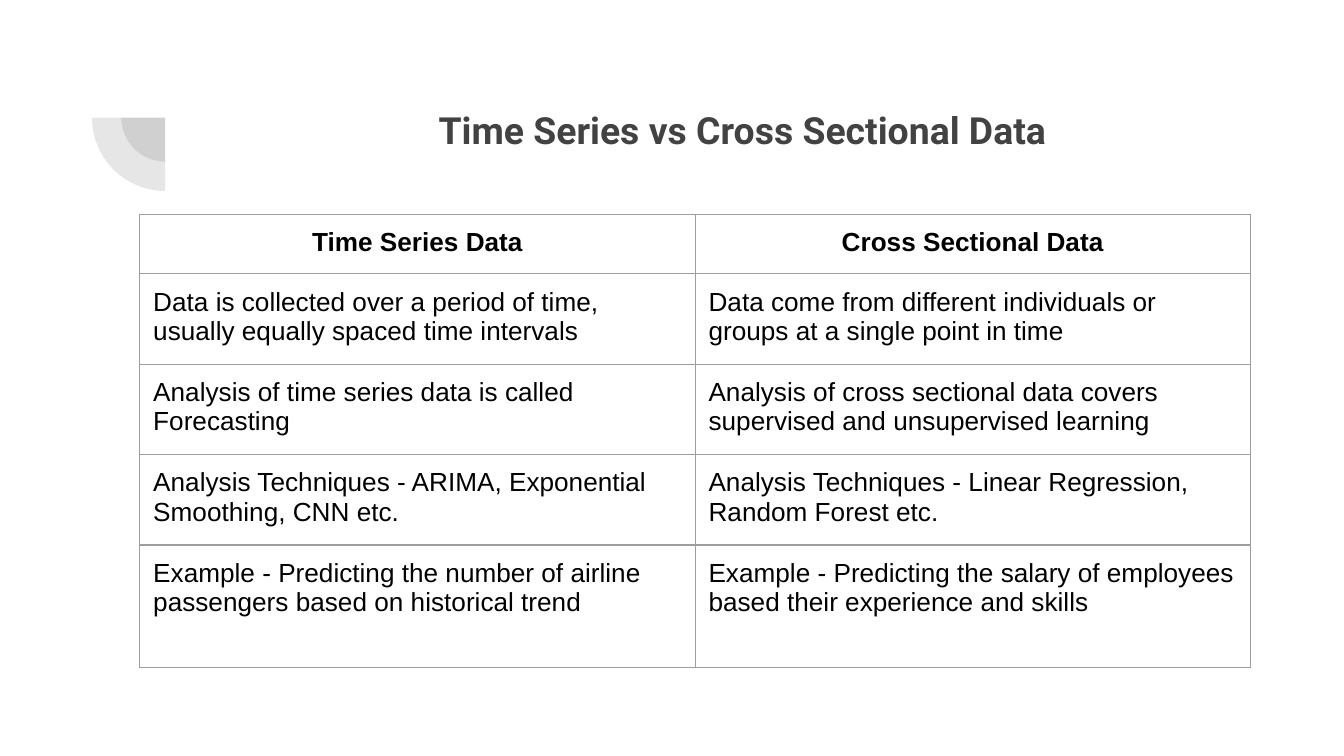
from lxml.etree import SubElement
from pptx import Presentation
from pptx.dml.color import RGBColor
from pptx.enum.shapes import MSO_SHAPE
from pptx.enum.text import PP_ALIGN
from pptx.oxml.ns import qn
from pptx.util import Pt

COLORS = {"ink": "424242", "text": "000000", "border": "9E9E9E"}
TITLE_FONT = {"name": "Roboto", "size": Pt(20), "bold": True}
HEADER_FONT = {"name": "Arial", "size": Pt(14), "bold": True}
BODY_FONT = HEADER_FONT | {"bold": False}
INSETS = {f"margin_{side}": Pt(7.2) for side in ("left", "top", "right", "bottom")}
ROW_HEIGHTS = (31.7, 48.45, 48.45, 48.45, 65.5)
ROWS = (
    ("Time Series Data", "Cross Sectional Data"),
    ("Data is collected over a period of time, usually equally spaced time intervals",
     "Data come from different individuals or groups at a single point in time"),
    ("Analysis of time series data is called Forecasting",
     "Analysis of cross sectional data covers supervised and unsupervised learning"),
    ("Analysis Techniques - ARIMA, Exponential Smoothing, CNN etc.",
     "Analysis Techniques - Linear Regression, Random Forest etc."),
    ("Example - Predicting the number of airline passengers based on historical trend",
     "Example - Predicting the salary of employees based their experience and skills"),
)


def set_all(target, values):
    """Set each named attribute of the target."""
    for name, value in values.items():
        setattr(target, name, value)


def write(para, text, font, color):
    """Add one formatted span of text to a paragraph."""
    span = para.add_run()
    span.text = text
    set_all(span.font, font)
    span.font.color.rgb = RGBColor.from_string(COLORS[color])


def add_quarter_rings(page, left, top, size):
    """Draw two concentric translucent quarter circles in a square box."""
    for diameter in (size * 0.6, size):
        offset = (size - diameter) / 2
        pie = page.shapes.add_shape(MSO_SHAPE.PIE, Pt(left + offset), Pt(top + offset),
                                    Pt(diameter), Pt(diameter))
        pie.adjustments[0], pie.adjustments[1] = 108, 162
        pie.rotation = 270
        pie.shadow.inherit = False
        pie.line.fill.background()
        pie.fill.solid()
        pie.fill.fore_color.rgb = RGBColor.from_string(COLORS["ink"])
        color = pie.fill._xPr.find(".//" + qn("a:srgbClr"))
        SubElement(color, qn("a:alpha"), val="13000")


def add_title(page, left, top, width, height):
    """Place the centred slide title in the given box."""
    box = page.shapes.add_textbox(Pt(left), Pt(top), Pt(width), Pt(height))
    set_all(box.text_frame, INSETS | {"word_wrap": True})
    para = box.text_frame.paragraphs[0]
    set_all(para, {"alignment": PP_ALIGN.CENTER, "line_spacing": 1.15, "space_after": Pt(16)})
    properties = para._p.get_or_add_pPr()
    properties.set("marL", str(Pt(36)))
    properties.set("indent", "0")
    write(para, "Time Series vs Cross Sectional Data", TITLE_FONT, "ink")


def add_borders(cell):
    """Outline a cell on all four sides and leave it unfilled."""
    properties = cell._tc.get_or_add_tcPr()
    for side in ("lnL", "lnR", "lnT", "lnB"):
        line = SubElement(properties, qn(f"a:{side}"), w=str(Pt(0.75)))
        fill = SubElement(line, qn("a:solidFill"))
        SubElement(fill, qn("a:srgbClr"), val=COLORS["border"])
    cell.fill.background()


def add_comparison(page, left, top, width):
    """Place the two-column comparison table in the given box."""
    frame = page.shapes.add_table(len(ROWS), 2, Pt(left), Pt(top), Pt(width),
                                  Pt(sum(ROW_HEIGHTS)))
    table = frame.table
    set_all(table, {"first_row": False, "horz_banding": False})
    for row_index, (texts, height) in enumerate(zip(ROWS, ROW_HEIGHTS)):
        table.rows[row_index].height = Pt(height)
        header = row_index == 0
        for column_index, text in enumerate(texts):
            cell = table.cell(row_index, column_index)
            set_all(cell, INSETS)
            add_borders(cell)
            para = cell.text_frame.paragraphs[0]
            para.alignment = PP_ALIGN.CENTER if header else PP_ALIGN.LEFT
            write(para, text, HEADER_FONT if header else BODY_FONT, "text")


def main():
    """Build and save the slide."""
    deck = Presentation()
    set_all(deck, {"slide_width": Pt(720), "slide_height": Pt(405)})
    page = deck.slides.add_slide(deck.slide_layouts[6])
    add_quarter_rings(page, 49.3, 23.8, 78.5)
    add_title(page, 103, 46.8, 553.7, 78.5)
    add_comparison(page, 74.9, 115, 595)
    deck.save("out.pptx")


if __name__ == "__main__":
    main()
